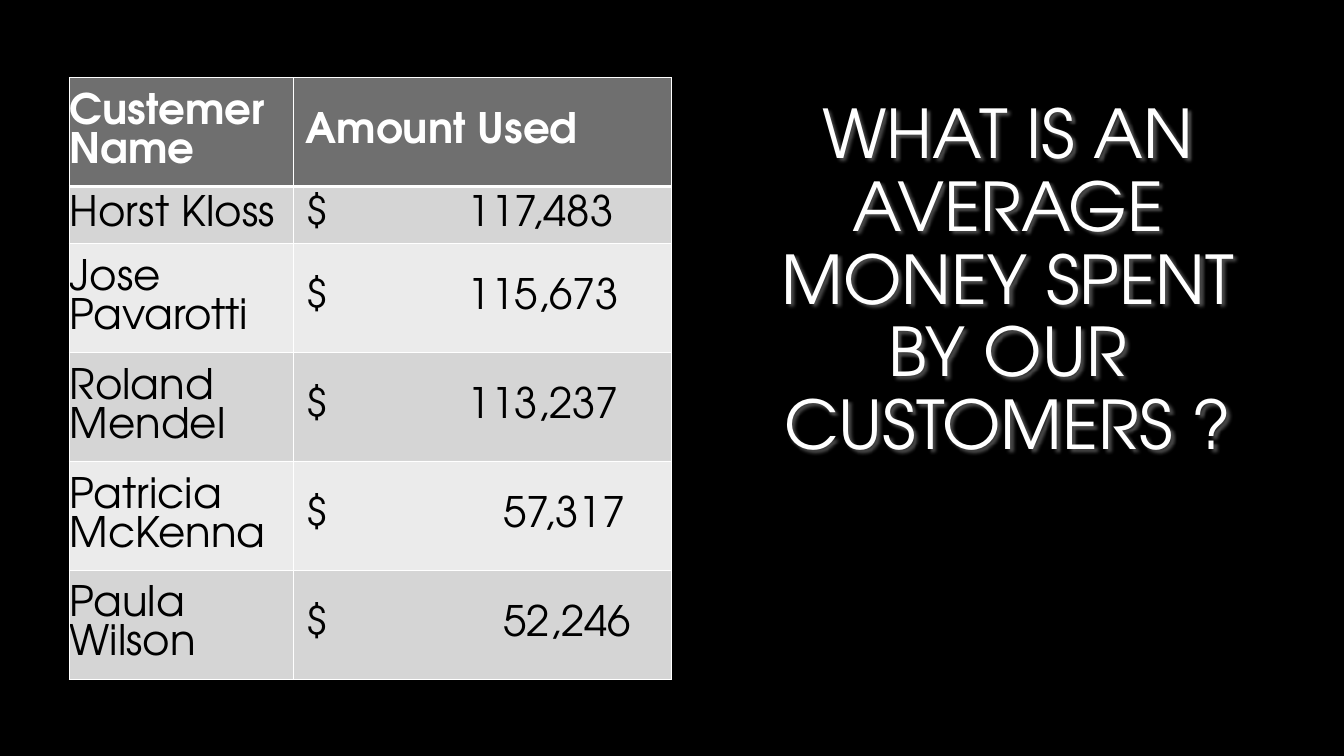
import pptx
import pptx.dml.color
import pptx.enum.text
import pptx.oxml
import pptx.oxml.ns
import pptx.util
from pptx.util import Inches

RGBColor = pptx.dml.color.RGBColor
BLACK = RGBColor(0x00, 0x00, 0x00)
WHITE = RGBColor(0xFF, 0xFF, 0xFF)
TITLE_FADE = RGBColor(0xA6, 0xA6, 0xA6)
SHADOW_GRAY = RGBColor(0x80, 0x80, 0x80)
HEADER_GRAY = RGBColor(0x6F, 0x6F, 0x6F)
BAND_GRAYS = (RGBColor(0xD5, 0xD5, 0xD5), RGBColor(0xEB, 0xEB, 0xEB))
FONT = "TeX Gyre Adventor"
NAMESPACE = pptx.oxml.ns.nsdecls("a")

QUESTION = "WHAT IS AN AVERAGE MONEY SPENT BY OUR CUSTOMERS ?"
HEADINGS = ("Custemer Name", "Amount Used")
CUSTOMERS = (
    ("Horst Kloss", "117,483"),
    ("Jose Pavarotti", "115,673"),
    ("Roland Mendel", "113,237"),
    ("Patricia McKenna", "57,317"),
    ("Paula Wilson", "52,246"),
)
COLUMN_WIDTHS = (2.22, 3.75)
TALL_ROW, SHORT_ROW = 1.08, 0.57
AMOUNT_INDENT = 0.12
SIX_DIGIT_TAB, FIVE_DIGIT_TAB = 1.61, 1.96


def apply_format(target, values):
    for name, value in values.items():
        setattr(target, name, value)


def add_question(slide):
    box = slide.shapes.add_textbox(Inches(7.37), Inches(0.67), Inches(5.25), Inches(3.98))
    add_soft_shadow(box)
    frame = box.text_frame
    apply_format(frame, {
        "word_wrap": True,
        "vertical_anchor": pptx.enum.text.MSO_ANCHOR.BOTTOM,
    })
    paragraph = frame.paragraphs[0]
    apply_format(paragraph, {
        "alignment": pptx.enum.text.PP_ALIGN.CENTER,
        "line_spacing": 0.9,
    })
    run = paragraph.add_run()
    run.text = QUESTION
    fill = run.font.fill
    fill.gradient()
    fill.gradient_angle = 267
    for stop, color, position in zip(fill.gradient_stops, (WHITE, TITLE_FADE), (0, 1)):
        stop.color.rgb = color
        stop.position = position
    apply_format(run.font, {"size": pptx.util.Pt(48), "name": FONT})


def add_soft_shadow(box):
    """Shade the letters of a box that has no fill of its own."""
    box._element.spPr.append(pptx.oxml.parse_xml(
        f'<a:effectLst {NAMESPACE}><a:outerShdw blurRad="25400" dist="25400" dir="2700000">'
        f'<a:srgbClr val="{SHADOW_GRAY}"><a:alpha val="60000"/></a:srgbClr>'
        '</a:outerShdw></a:effectLst>'))


def add_borders(cell, bottom_width):
    properties = cell._tc.get_or_add_tcPr()
    for side, width in (("L", 1), ("R", 1), ("T", 1), ("B", bottom_width)):
        properties.append(pptx.oxml.parse_xml(
            f'<a:ln{side} {NAMESPACE} w="{pptx.util.Pt(width)}"><a:solidFill>'
            f'<a:srgbClr val="{WHITE}"/></a:solidFill></a:ln{side}>'))


def add_tab_stop(paragraph, position):
    paragraph._p.get_or_add_pPr().append(pptx.oxml.parse_xml(
        f'<a:tabLst {NAMESPACE}><a:tab pos="{Inches(position)}" algn="l"/></a:tabLst>'))


def fill_cell(cell, text, background, heading=False, indent=0, tab=None):
    add_borders(cell, 3 if heading else 1)
    cell.fill.solid()
    cell.fill.fore_color.rgb = background
    apply_format(cell, {
        "margin_left": Inches(indent),
        "margin_right": 0,
        "margin_top": 0,
        "margin_bottom": 0,
        "vertical_anchor": pptx.enum.text.MSO_ANCHOR.MIDDLE,
    })
    paragraph = cell.text_frame.paragraphs[0]
    if tab:
        add_tab_stop(paragraph, tab)
    run = paragraph.add_run()
    run.text = text
    apply_format(run.font, {"size": pptx.util.Pt(30), "name": FONT, "bold": heading})
    run.font.color.rgb = WHITE if heading else BLACK


def add_customer_table(slide):
    row_heights = [TALL_ROW, SHORT_ROW] + [TALL_ROW] * (len(CUSTOMERS) - 1)
    table = slide.shapes.add_table(
        len(row_heights), len(COLUMN_WIDTHS), Inches(0.69), Inches(0.77),
        Inches(sum(COLUMN_WIDTHS)), Inches(sum(row_heights))).table
    for column, width in zip(table.columns, COLUMN_WIDTHS):
        column.width = Inches(width)
    for row, height in zip(table.rows, row_heights):
        row.height = Inches(height)

    for column, (heading, indent) in enumerate(zip(HEADINGS, (0, AMOUNT_INDENT))):
        fill_cell(table.cell(0, column), heading, HEADER_GRAY, heading=True, indent=indent)
    for index, (customer, amount) in enumerate(CUSTOMERS):
        band = BAND_GRAYS[index % 2]
        tab = SIX_DIGIT_TAB if len(amount) == 7 else FIVE_DIGIT_TAB
        fill_cell(table.cell(index + 1, 0), customer, band)
        fill_cell(table.cell(index + 1, 1), f"$\t{amount}", band, indent=AMOUNT_INDENT, tab=tab)


def main():
    presentation = pptx.Presentation()
    apply_format(presentation, {"slide_width": Inches(13.33), "slide_height": Inches(7.5)})
    slide = presentation.slides.add_slide(presentation.slide_layouts[6])
    slide.background.fill.solid()
    slide.background.fill.fore_color.rgb = BLACK
    add_customer_table(slide)
    add_question(slide)
    presentation.save("out.pptx")


if __name__ == "__main__":
    main()
